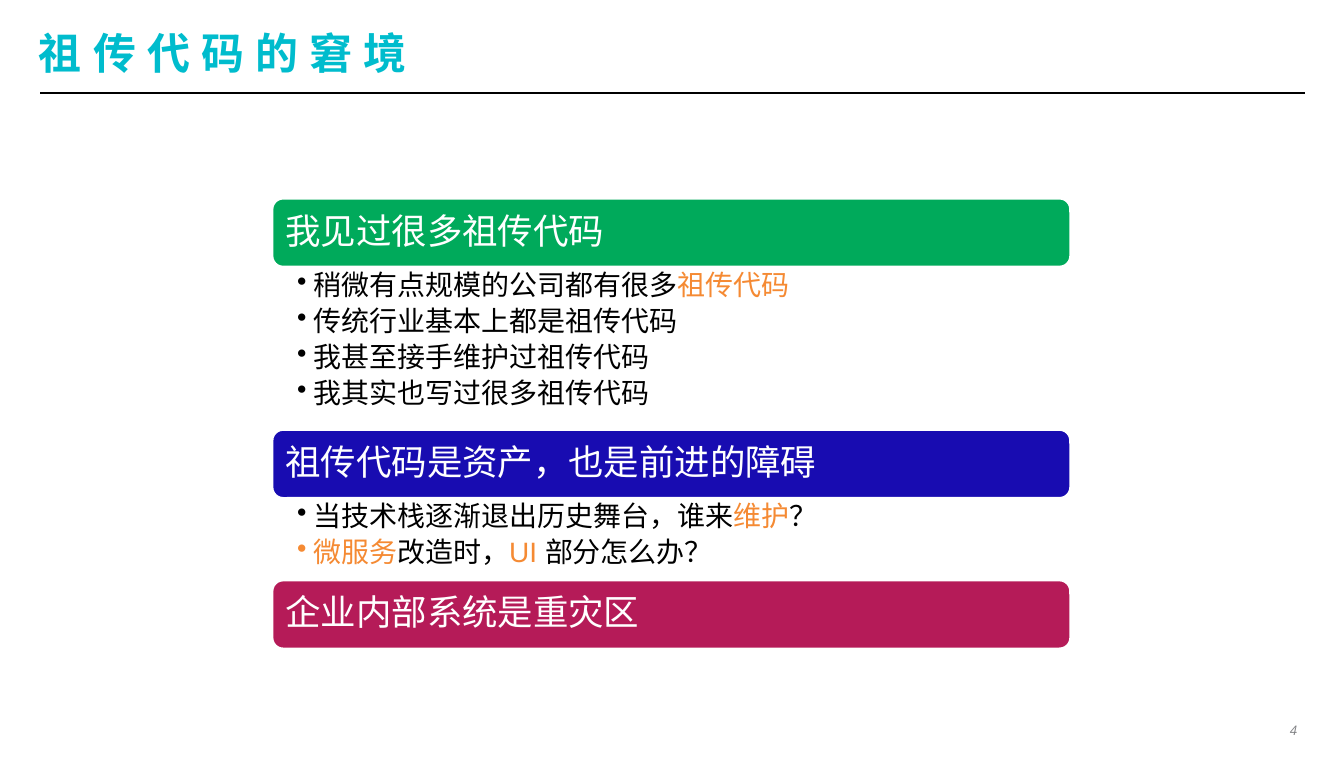
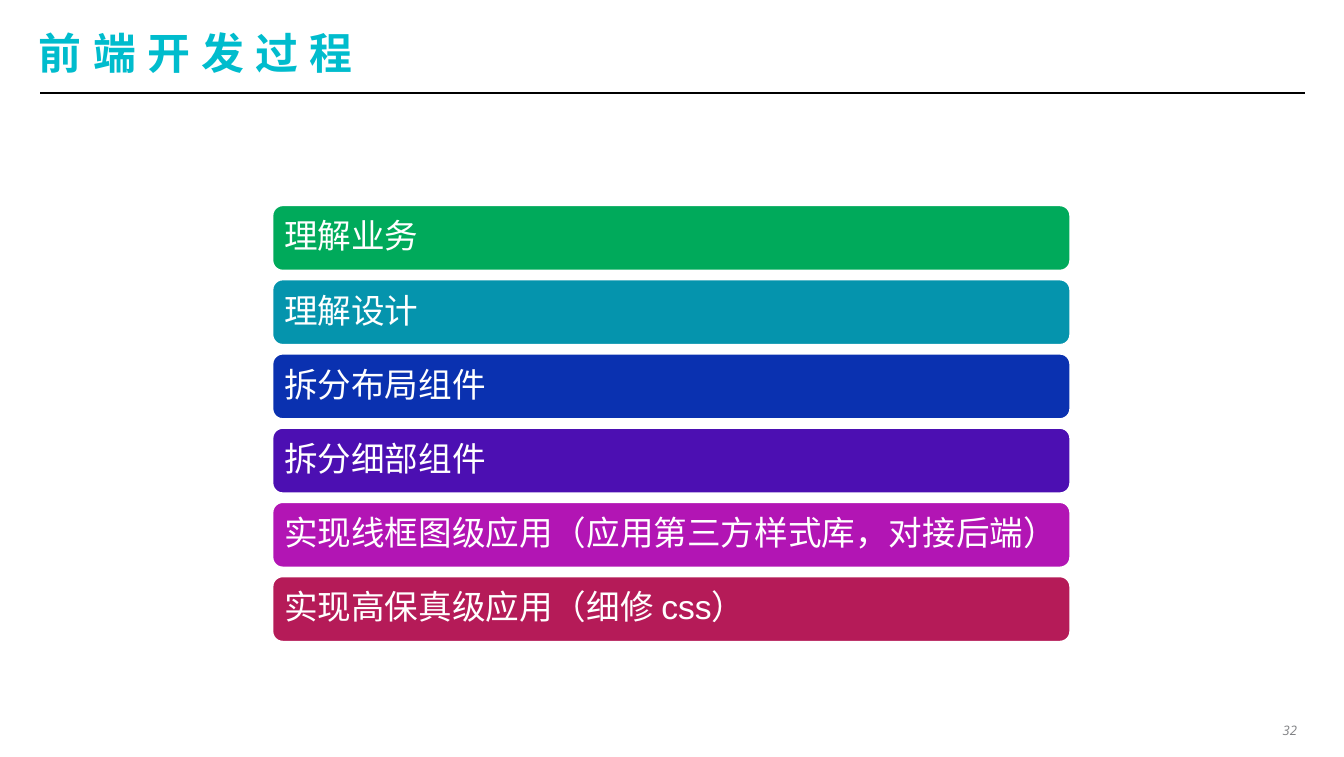
from lxml.etree import SubElement
from pptx import Presentation
from pptx.dml.color import RGBColor
from pptx.enum.shapes import MSO_CONNECTOR, MSO_SHAPE
from pptx.enum.text import MSO_ANCHOR, PP_ALIGN
from pptx.oxml.ns import qn
from pptx.util import Inches, Pt

COLORS = {
    "title": "00BCCD", "text": "000000", "white": "FFFFFF", "number": "808184",
    "accent": "F58A33", "green": "00AA5B", "teal": "0594AD", "blue": "0A31B0",
    "navy": "180CB1", "violet": "4C0FB2", "magenta": "B215B4", "crimson": "B51B58",
}
CJK_FONT = "Noto Sans CJK JP"
BODY_FONT = "Arial"
STACK_LEFT, STACK_WIDTH = 2.02, 5.95

TOPICS = [
    ("我见过很多祖传代码", "green", [
        [("稍微有点规模的公司都有很多", "text"), ("祖传代码", "accent")],
        [("传统行业基本上都是祖传代码", "text")],
        [("我甚至接手维护过祖传代码", "text")],
        [("我其实也写过很多祖传代码", "text")],
    ]),
    ("祖传代码是资产，也是前进的障碍", "navy", [
        [("当技术栈逐渐退出历史舞台，谁来", "text"), ("维护", "accent"), ("？", "text")],
        [("微服务", "accent"), ("改造时，", "text"), ("UI", "accent"),
         (" 部分怎么办？", "text")],
    ]),
    ("企业内部系统是重灾区", "crimson", []),
]
STEPS = [
    ("理解业务", "green"),
    ("理解设计", "teal"),
    ("拆分布局组件", "blue"),
    ("拆分细部组件", "violet"),
    ("实现线框图级应用（应用第三方样式库，对接后端）", "magenta"),
    ("实现高保真级应用（细修 css）", "crimson"),
]


def rgb(name):
    return RGBColor.from_string(COLORS[name])


def set_font(p, name, size, color=None, bold=None, italic=None, spacing=None):
    font = p.font
    font.size, font.bold, font.italic = Pt(size), bold, italic
    if color:
        font.color.rgb = rgb(color)
    font.name = name
    props = p._p.pPr.find(qn("a:defRPr"))
    SubElement(props, qn("a:ea")).set("typeface", CJK_FONT)
    if spacing:
        props.set("spc", str(spacing * 100))


def set_frame(tf, insets, anchor=MSO_ANCHOR.TOP, wrap=True):
    tf.word_wrap, tf.vertical_anchor = wrap, anchor
    tf.margin_left, tf.margin_top, tf.margin_right, tf.margin_bottom = map(Inches, insets)


def add_text_box(slide, box, insets, **frame):
    tf = slide.shapes.add_textbox(*map(Inches, box)).text_frame
    set_frame(tf, insets, **frame)
    return tf


def add_title(slide, box, text):
    left, top, width, height = box
    tf = add_text_box(slide, box, (0, 0, 0, 0), anchor=MSO_ANCHOR.MIDDLE)
    p = tf.paragraphs[0]
    p.text = text
    set_font(p, CJK_FONT, 23, "title", bold=True, spacing=6)
    y = Inches(top + height + 0.09)
    rule = slide.shapes.add_connector(
        MSO_CONNECTOR.STRAIGHT, Inches(left + 0.01), y, Inches(left + width + 0.01), y)
    rule.line.color.rgb = rgb("text")
    rule.line.width = Pt(1)
    SubElement(rule._element.spPr, qn("a:effectLst"))


def add_number(slide, box, number):
    tf = add_text_box(slide, box, (0.06, 0.03, 0.06, 0.03), wrap=False)
    p = tf.paragraphs[0]
    p.text = str(number)
    p.alignment = PP_ALIGN.RIGHT
    set_font(p, "Open Sans", 7, "number", italic=True)


def add_bar(slide, box, text, color, size, inset):
    sp = slide.shapes.add_shape(MSO_SHAPE.ROUNDED_RECTANGLE, *map(Inches, box))
    sp.shadow.inherit = False
    sp.fill.solid()
    sp.fill.fore_color.rgb = rgb(color)
    sp.line.color.rgb = rgb("white")
    sp.line.width = Pt(2)
    set_frame(sp.text_frame, [inset] * 4, anchor=MSO_ANCHOR.MIDDLE)
    p = sp.text_frame.paragraphs[0]
    p.text = text
    p.alignment = PP_ALIGN.LEFT
    p.line_spacing = 0.9
    set_font(p, BODY_FONT, size, "white")


def add_bullets(slide, box, items):
    tf = add_text_box(slide, box, (0.19, 0.03, 0.15, 0.03))
    for i, runs in enumerate(items):
        p = tf.add_paragraph() if i else tf.paragraphs[0]
        p.level = 1
        p.line_spacing = 0.9
        p.space_after = Pt(3)
        props = p._p.get_or_add_pPr()
        props.set("marL", str(Inches(0.12)))
        props.set("indent", str(Inches(-0.12)))
        SubElement(props, qn("a:buChar")).set("char", "•")
        set_font(p, BODY_FONT, 15)
        for text, color in runs:
            r = p.add_run()
            r.text = text
            r.font.color.rgb = rgb(color)


def add_topics(slide, box, topics, bar_height=0.52, item_height=0.3):
    left, top, width = box
    for heading, color, items in topics:
        add_bar(slide, (left, top, width, bar_height), heading, color, 19, 0.08)
        top += bar_height
        if items:
            height = item_height * len(items)
            add_bullets(slide, (left, top, width, height), items)
            top += height


def add_steps(slide, box, steps, bar_height=0.5):
    left, top, width, height = box
    pitch = (height - bar_height) / (len(steps) - 1)
    for i, (text, color) in enumerate(steps):
        add_bar(slide, (left, top + i * pitch, width, bar_height), text, color, 18, 0.07)


def add_slide(prs, title, number):
    slide = prs.slides.add_slide(prs.slide_layouts[6])
    add_title(slide, (0.29, 0.18, 9.41, 0.42), title)
    add_number(slide, (9.41, 5.34, 0.3, 0.17), number)
    return slide


def main():
    prs = Presentation()
    prs.slide_width, prs.slide_height = Inches(10), Inches(5.63)
    slide = add_slide(prs, "祖传代码的窘境", 4)
    add_topics(slide, (STACK_LEFT, 1.47, STACK_WIDTH), TOPICS)
    slide = add_slide(prs, "前端开发过程", 32)
    add_steps(slide, (STACK_LEFT, 1.52, STACK_WIDTH, 3.26), STEPS)
    prs.save("out.pptx")


if __name__ == "__main__":
    main()
